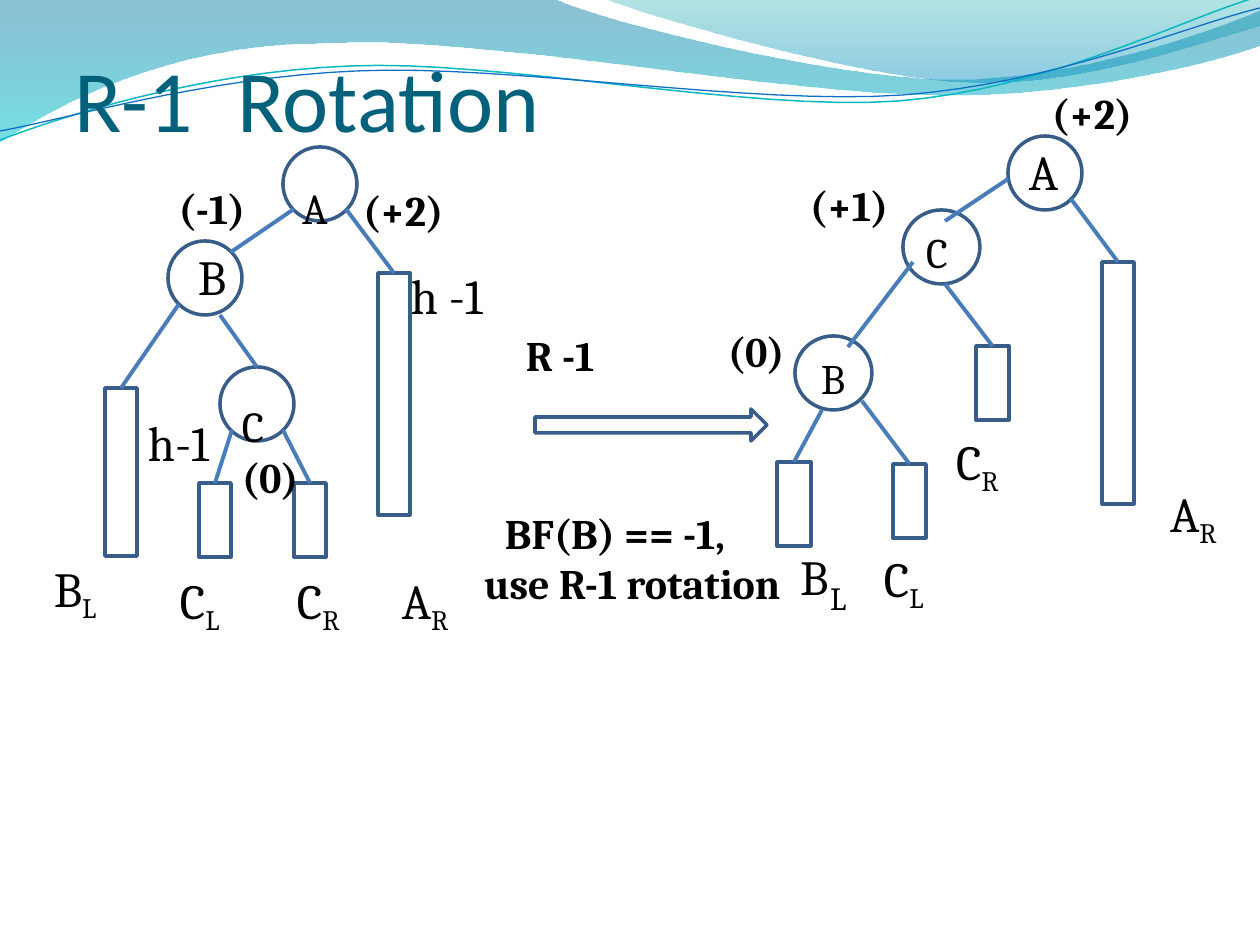
from lxml.etree import SubElement
from pptx import Presentation
from pptx.dml.color import RGBColor
from pptx.enum.shapes import MSO_CONNECTOR, MSO_SHAPE
from pptx.enum.text import MSO_ANCHOR, MSO_AUTO_SIZE, PP_ALIGN
from pptx.oxml.ns import qn
from pptx.util import Emu, Pt

THEME = {
    "title": {"size": 50, "name": "Calibri", "color": "04617B"},
    "node": {"size": 28},
    "sub": {"size": 27.8, "base": -21},
    "mini": {"size": 18.5},
    "small": {"size": 24},
    "bold": {"size": 24, "bold": True},
    "low": {"size": 42, "base": -21},
    "high": {"size": 42, "base": 3},
    "shape": ("385D89", 2),
    "edge": ("497DBA", 2.25),
}
PLAIN = {"name": "Cambria", "color": "000000", "bold": False}

WAVES = [
    ([(0, 0)],
     [[(554, -1)],
      [(600, 21), (837, 79), (955, 79)],
      [(1075, 79), (1207, 33), (1260, 11)],
      [(1261, 45)],
      [(1239, 55), (1096, 96), (940, 95)],
      [(784, 95), (481, 35), (324, 43)],
      [(163, 45), (58, 105), (-1, 142)]],
     [("0074A1", 45), ("00C6CF", 55)], None),
    ([(604, -1)],
     [[(641, 14), (859, 78), (969, 82)],
      [(1079, 87), (1211, 40), (1260, 26)],
      [(1260, 0)]],
     [("00A1A9", 30), ("008BBF", 45)], None),
    ([(0, 140)],
     [[(60, 117), (199, 72), (349, 66)],
      [(498, 59), (747, 112), (898, 101)],
      [(1049, 89), (1182, 19), (1257, -3)]],
     None, ("0AB8BF", 0.85)),
    ([(0, 131)],
     [[(59, 121), (207, 77), (357, 71)],
      [(508, 64), (752, 106), (903, 95)],
      [(1053, 84), (1186, 26), (1260, 8)]],
     None, ("0F6FC6", 0.75)),
]

NODES = [
    (283, 147, 74, 74), (168, 241, 74, 74), (220, 367, 74, 74),
    (1008, 136, 74, 74), (903, 210, 77, 74), (795, 336, 77, 74),
]
BARS = {
    "old BL": (105, 388, 32, 168), "old CL": (199, 483, 32, 74),
    "old CR": (294, 483, 32, 74), "old AR": (378, 273, 32, 242),
    "new BL": (777, 462, 34, 84), "new CL": (893, 464, 33, 74),
    "new CR": (976, 346, 33, 74), "new AR": (1102, 262, 32, 242),
}
ARROW = (535, 409, 232, 32)
EDGES = [
    ((294, 209), (231, 252)), ((220, 315), (257, 367)),
    ((1008, 179), (945, 221)), ((913, 262), (848, 347)),
]
LEAVES = [
    ((179, 304), "old BL"), ((232, 430), "old CL"),
    ((283, 430), "old CR"), ((346, 209), "old AR"),
    ((822, 410), "new BL"), ((862, 401), "new CL"),
    ((945, 284), "new CR"), ((1071, 199), "new AR"),
]

TITLE = ((73, 42, 791, 108), [[("R-1\tRotation", "title")]], {"tabs": [163]})
LABELS = [
    ((525, 328, 100, 54), [[("R -1", "bold")]], {}),
    ((53, 558, 53, 62), [[("B", "node"), ("L", "sub")]], {}),
    ((241, 353, 123, 62), [[("C\t", "low"), ("(0)", "bold")]], {"tabs": [66]}),
    ((169, 170, 86, 137), [[("(-1)", "bold")], [("B", "node")]],
     {"top": 13, "align": PP_ALIGN.CENTER, "gap": 7.5}),
    ((147, 412, 74, 62), [[("h-1", "node")]], {}),
    ((399, 265, 88, 62), [[("h -1", "node")]], {"dent": [12]}),
    ((301, 152, 193, 60), [[("A\t", "high"), ("(+2)", "bold")]], {"tabs": [61]}),
    ((179, 570, 280, 62),
     [[("C", "node"), ("L\t", "sub"), ("C", "node"), ("R\t", "sub"),
       ("A", "node"), ("R", "sub")]], {"tabs": [117, 222]}),
    ((955, 431, 83, 60), [[("C", "node"), ("R", "sub")]], {}),
    ((809, 179, 92, 53), [[("(+1)", "bold")]], {}),
    ((799, 546, 34, 62), [[("B", "node")]], {}),
    ((829, 575, 21, 43), [[("L", "mini")]], {"top": 3}),
    ((1028, 87, 126, 116), [[("(+2)", "bold")], [("A", "node")]],
     {"dent": [24, 1], "gap": 1.6}),
    ((1169, 483, 59, 62), [[("A", "node"), ("R", "sub")]], {}),
    ((504, 507, 270, 54), [[("BF(B) == -1,", "bold")]], {}),
    ((483, 557, 344, 54), [[("use R-1 rotation", "bold")]], {}),
    ((914, 221, 42, 63), [[("C", "small")]], {"top": 6, "dent": [12]}),
    ((809, 347, 42, 63), [[("B", "small")]], {"top": 6, "dent": [12]}),
    ((872, 548, 83, 61), [[("C", "node"), ("L", "sub")]], {"dent": [12]}),
    ((727, 325, 92, 53), [[("(0)", "bold")]], {}),
]


def px(*vals):
    return [Emu(round(v * 914400 / 126)) for v in vals]


def style(line, look):
    line.color.rgb, line.width = RGBColor.from_string(look[0]), Pt(look[1])


def curve(start, parts, steps=16):
    dots = list(start)
    for part in parts:
        if len(part) == 1:
            dots += part
            continue
        ends = [dots[-1], *part]
        for n in range(1, steps + 1):
            t = n / steps
            mix = ((1 - t) ** 3, 3 * t * (1 - t) ** 2, 3 * t * t * (1 - t), t ** 3)
            dots.append(tuple(sum(m * p[k] for m, p in zip(mix, ends))
                              for k in (0, 1)))
    return dots


def wave(shapes, start, parts, stops, look):
    dots = [px(*dot) for dot in curve(start, parts)]
    form = shapes.build_freeform(*dots[0])
    form.add_line_segments(dots[1:], close=bool(stops))
    shape = form.convert_to_shape()
    shape.shadow.inherit = False
    if not stops:
        shape.fill.background()
        style(shape.line, look)
        return
    shape.fill.gradient()
    shape.fill.gradient_angle = 270
    for stop, (color, _) in zip(shape.fill.gradient_stops, stops):
        stop.color.rgb = RGBColor.from_string(color)
    tints = shape._element.spPr.iter(qn("a:srgbClr"))
    for tint, (_, alpha) in zip(tints, stops):
        SubElement(tint, qn("a:alpha")).set("val", str(alpha * 1000))
    shape.line.fill.background()


def draw(shapes, kind, box):
    shape = shapes.add_shape(kind, *px(*box))
    shape.shadow.inherit = False
    shape.fill.background()
    style(shape.line, THEME["shape"])
    return shape


def link(shapes, start, end):
    edge = shapes.add_connector(MSO_CONNECTOR.STRAIGHT, *px(*start, *end))
    style(edge.line, THEME["edge"])
    SubElement(edge._element.spPr, qn("a:effectLst"))
    return edge


def write(shape, lines, opts, **extra):
    frame = shape.text_frame
    form = {"word_wrap": True, "margin_left": 0, "margin_right": 0,
            "margin_bottom": 0, "margin_top": px(opts.get("top", 1))[0],
            "auto_size": MSO_AUTO_SIZE.SHAPE_TO_FIT_TEXT,
            "vertical_anchor": MSO_ANCHOR.TOP, **extra}
    for key, val in form.items():
        setattr(frame, key, val)
    dents = opts.get("dent", [1] * len(lines))
    for row, (line, dent) in enumerate(zip(lines, dents)):
        para = frame.add_paragraph() if row else frame.paragraphs[0]
        para.alignment = opts.get("align", PP_ALIGN.LEFT)
        para.space_before = Pt(opts["gap"] if row else 0)
        props = para._p.get_or_add_pPr()
        if "align" not in opts:
            props.set("marL", str(px(dent)[0]))
        if "tabs" in opts:
            tabs = SubElement(props, qn("a:tabLst"))
            for pos in px(*opts["tabs"]):
                tab = SubElement(tabs, qn("a:tab"))
                tab.set("pos", str(pos))
                tab.set("algn", "l")
        for text, name in line:
            run = para.add_run()
            run.text = text
            look = {**PLAIN, **THEME[name]}
            run.font.color.rgb = RGBColor.from_string(look.pop("color"))
            base = look.pop("base", 0)
            look["size"] = Pt(look["size"])
            for key, val in look.items():
                setattr(run.font, key, val)
            if base:
                run._r.get_or_add_rPr().set("baseline", str(base * 1000))


def main():
    deck = Presentation()
    deck.slide_width, deck.slide_height = px(1260, 945)
    slide = deck.slides.add_slide(deck.slide_layouts[5])
    shapes = slide.shapes
    for item in WAVES:
        wave(shapes, *item)

    head = shapes.title
    box, lines, opts = TITLE
    for key, val in zip(("left", "top", "width", "height"), px(*box)):
        setattr(head, key, val)
    write(head, lines, opts, auto_size=MSO_AUTO_SIZE.NONE,
          vertical_anchor=MSO_ANCHOR.BOTTOM)
    shapes._spTree.append(head._element)

    for box in NODES:
        draw(shapes, MSO_SHAPE.OVAL, box)
    bars = {name: draw(shapes, MSO_SHAPE.RECTANGLE, box)
            for name, box in BARS.items()}
    draw(shapes, MSO_SHAPE.RIGHT_ARROW, ARROW)
    for start, end in EDGES:
        link(shapes, start, end)
    for start, name in LEAVES:
        link(shapes, start, start).end_connect(bars[name], 0)
    for box, lines, opts in LABELS:
        write(shapes.add_textbox(*px(*box)), lines, opts)
    deck.save("out.pptx")


if __name__ == "__main__":
    main()
